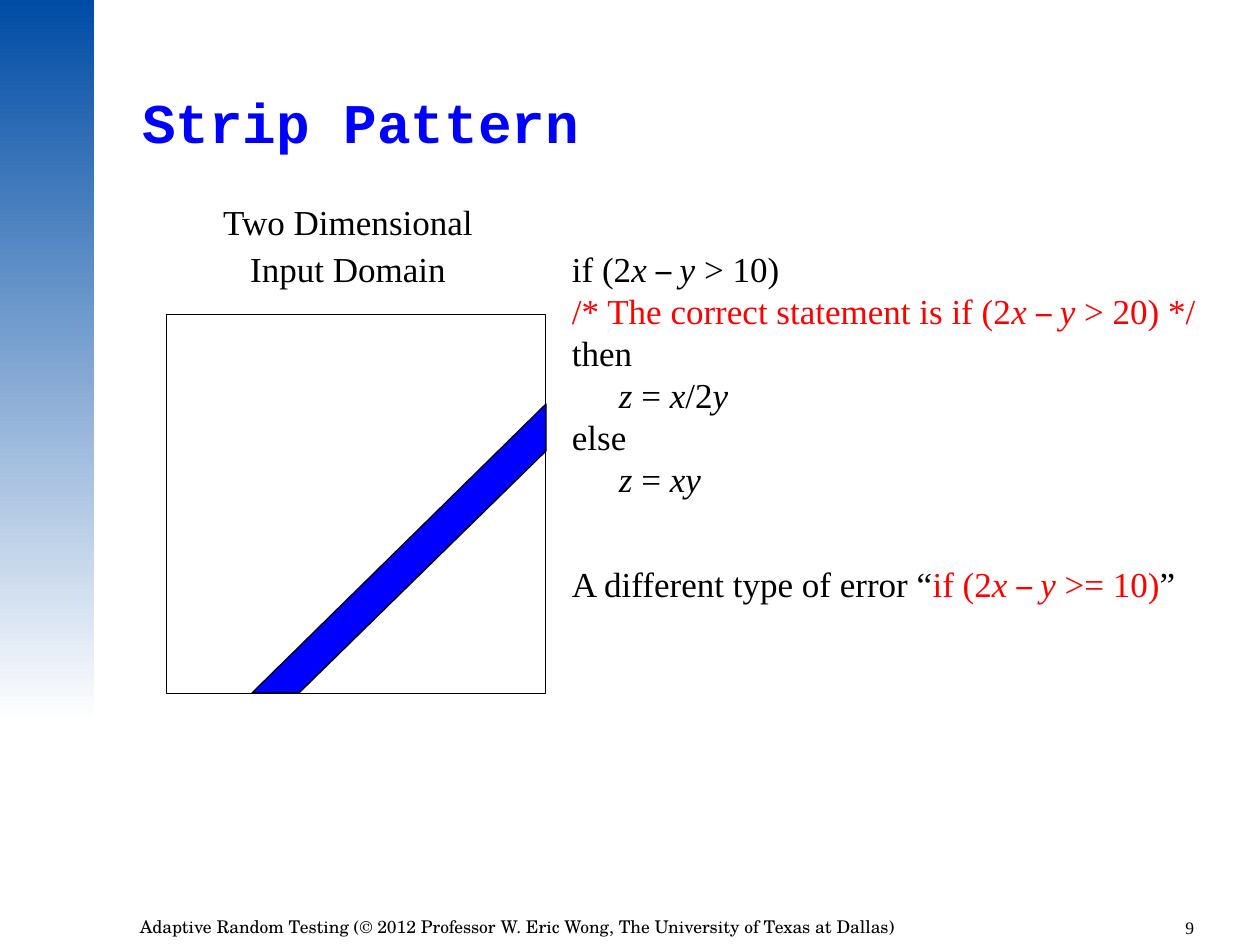
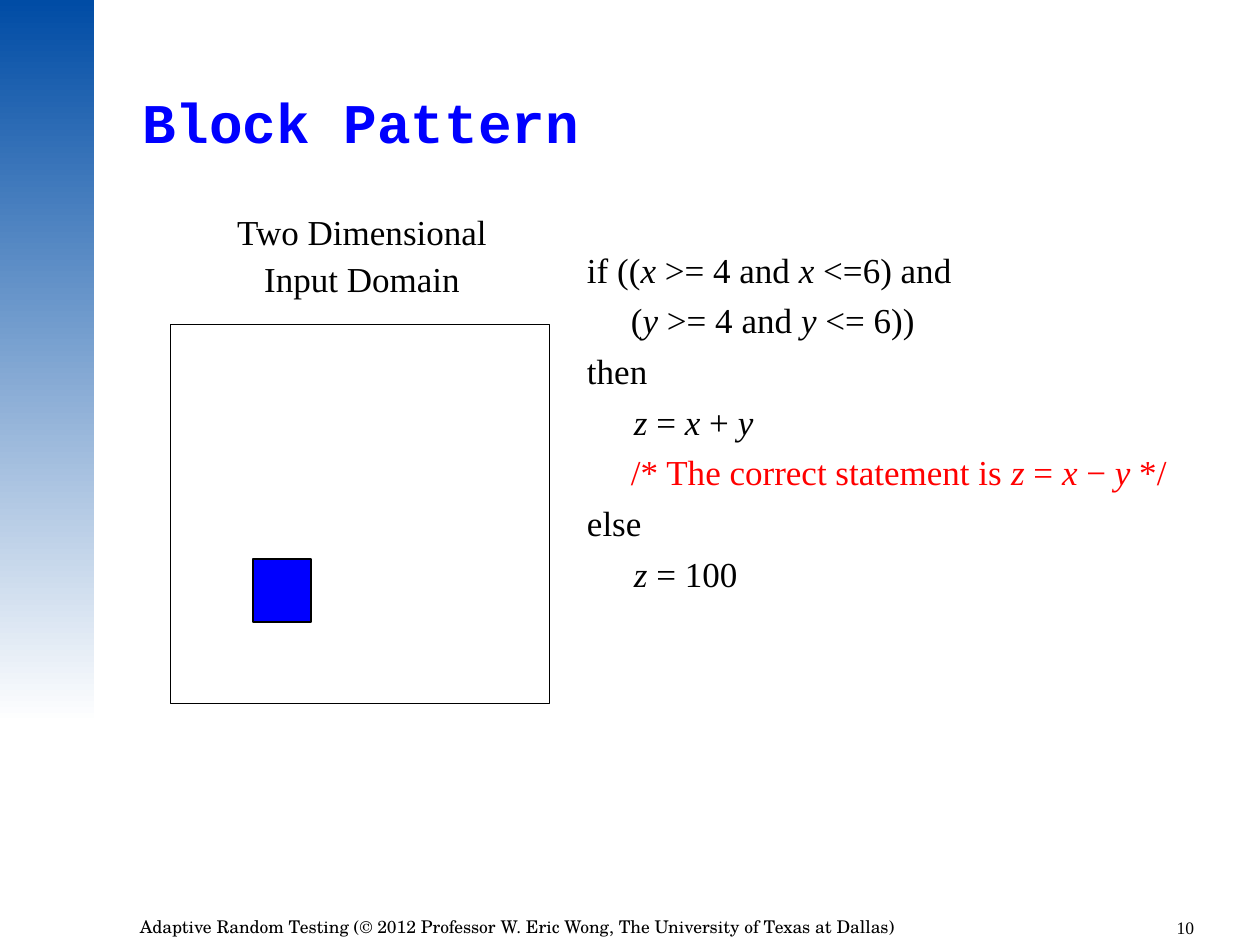
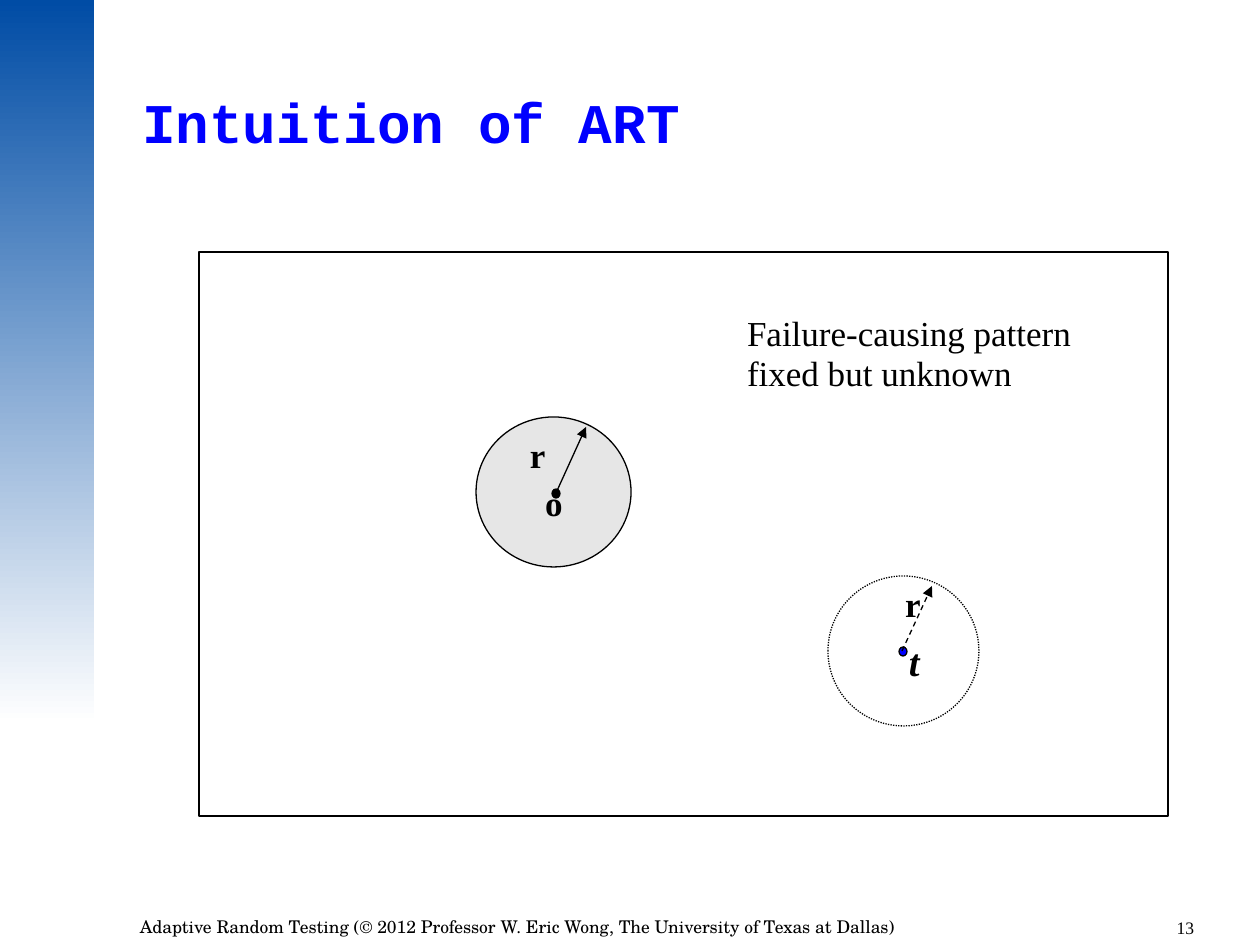
from dataclasses import dataclass
from lxml.etree import SubElement
from pptx import Presentation
from pptx.dml.color import RGBColor
from pptx.enum.dml import MSO_LINE
from pptx.enum.shapes import MSO_CONNECTOR, MSO_SHAPE
from pptx.enum.text import MSO_ANCHOR, PP_ALIGN
from pptx.oxml.ns import qn
from pptx.util import Emu, Pt


@dataclass(frozen=True)
class Theme:
    """Colours, fonts and type sizes shared by all slides."""
    blue: RGBColor = RGBColor(0x00, 0x00, 0xFF)
    red: RGBColor = RGBColor(0xFF, 0x00, 0x00)
    black: RGBColor = RGBColor(0x00, 0x00, 0x00)
    white: RGBColor = RGBColor(0xFF, 0xFF, 0xFF)
    grey: RGBColor = RGBColor(0xE6, 0xE6, 0xE6)
    band: RGBColor = RGBColor(0x00, 0x4C, 0xA5)
    title_font: str = "Courier New"
    body_font: str = "Times New Roman"
    dash_font: str = "Arial Narrow"
    footer_font: str = "TeX Gyre Schola"
    title_size: int = 32
    point_size: int = 22
    body_size: int = 20
    footer_size: int = 10
    body_leading: float = 24
    label_leading: float = 21.6
    note_leading: float = 22.3
    line: float = 0.75
    hairline: float = 0.37


T = Theme()
FOOTER = ("Adaptive Random Testing (© 2012 Professor W. Eric Wong, "
          "The University of Texas at Dallas)")
INSET = (13, 6)
DOMAIN_SIDE = 379


def px(n):
    """Turn px, 126 to the inch, into EMU."""
    return Emu(round(n * 914400 / 126))


def style(p, size=T.body_size, name=T.body_font, color=T.black, bold=None, italic=None):
    """Set the font that the runs of a paragraph share."""
    f = p.font
    f.size, f.name, f.bold, f.italic = Pt(size), name, bold, italic
    f.color.rgb = color


def add_box(s, x, y, w, h, inset=INSET, wrap=True):
    """Add an empty text box and return its text frame."""
    tf = s.shapes.add_textbox(*map(px, (x, y, w, h))).text_frame
    tf.word_wrap = wrap
    tf.margin_left = tf.margin_right = px(inset[0])
    tf.margin_top = tf.margin_bottom = px(inset[1])
    return tf


def add_text(s, x, y, w, h, text, inset=INSET, wrap=True, align=PP_ALIGN.LEFT,
             leading=None, before=0, **font):
    """Add a text box with one paragraph for each line of text."""
    tf = add_box(s, x, y, w, h, inset, wrap)
    for i, line in enumerate(text.split("\n")):
        p = tf.paragraphs[0] if i == 0 else tf.add_paragraph()
        p.text, p.alignment = line, align
        if leading:
            p.line_spacing = Pt(leading)
        if i:
            p.space_before = Pt(before)
        style(p, **font)


def add_marked_runs(p, text):
    """Add runs where | toggles red, _ italic and ~ the dash font."""
    for i, part in enumerate(text.split("|")):
        for j, piece in enumerate(part.split("_")):
            for k, bit in enumerate(piece.split("~")):
                if not bit:
                    continue
                r = p.add_run()
                r.text = bit
                if i % 2:
                    r.font.color.rgb = T.red
                if j % 2:
                    r.font.italic = True
                if k % 2:
                    r.font.name = T.dash_font


def add_code(s, x, y, w, h, lines):
    """Add code lines given as indent, space before and marked text."""
    tf = add_box(s, x, y, w, h)
    for i, (indent, before, text) in enumerate(lines):
        p = tf.paragraphs[0] if i == 0 else tf.add_paragraph()
        add_marked_runs(p, text)
        p.line_spacing, p.space_before = Pt(T.body_leading), Pt(before)
        p._p.get_or_add_pPr().set("marL", str(px(indent)))
        style(p)


def paint(sp, fill=None, width=T.line, dash=None):
    """Give a shape its fill and black outline, without a shadow."""
    sp.shadow.inherit = False
    if fill is None:
        sp.fill.background()
    else:
        sp.fill.solid()
        sp.fill.fore_color.rgb = fill
    sp.line.color.rgb, sp.line.width = T.black, Pt(width)
    if dash:
        sp.line.dash_style = dash


def add_shape(s, kind, x, y, w, h, **look):
    """Add a painted preset shape."""
    paint(s.shapes.add_shape(kind, *map(px, (x, y, w, h))), **look)


def add_polygon(s, points, **look):
    """Add a painted closed outline."""
    points = [tuple(map(px, point)) for point in points]
    builder = s.shapes.build_freeform(*points[0])
    builder.add_line_segments(points[1:], close=True)
    paint(builder.convert_to_shape(), **look)


def add_arrow(s, x1, y1, x2, y2, dash=None):
    """Add a straight arrow with a triangle head at its end."""
    c = s.shapes.add_connector(MSO_CONNECTOR.STRAIGHT, *map(px, (x1, y1, x2, y2)))
    c.line.color.rgb, c.line.width = T.black, Pt(T.line)
    if dash:
        c.line.dash_style = dash
    spPr = c.element.spPr
    SubElement(spPr.get_or_add_ln(), qn("a:tailEnd"), type="triangle")
    SubElement(spPr, qn("a:effectLst"))


def add_band(prs, s):
    """Draw the gradient side band and move it to the slide master."""
    sp = s.shapes.add_shape(MSO_SHAPE.RECTANGLE, 0, 0, px(94), px(724))
    sp.shadow.inherit = False
    sp.line.fill.background()
    sp.fill.gradient()
    sp.fill.gradient_angle = 270
    for stop, color in zip(sp.fill.gradient_stops, (T.band, T.white)):
        stop.color.rgb = color
    prs.slide_master.shapes.element.insert(2, sp.element)


def add_slide(prs, title, number):
    """Add a slide with its title, footer and number."""
    s = prs.slides.add_slide(prs.slide_layouts[5])
    sp = s.shapes.title
    sp.left, sp.top, sp.width, sp.height = map(px, (142, 88, 1068, 74))
    tf = sp.text_frame
    tf.margin_left = tf.margin_right = tf.margin_top = tf.margin_bottom = 0
    tf.vertical_anchor = MSO_ANCHOR.MIDDLE
    p = tf.paragraphs[0]
    p.text, p.alignment, p.line_spacing = title, PP_ALIGN.LEFT, 0.9
    style(p, T.title_size, T.title_font, T.blue, bold=True)
    add_text(s, 127, 910, 993, 35, FOOTER, size=T.footer_size, name=T.footer_font)
    add_text(s, 1134, 911, 73, 38, str(number), align=PP_ALIGN.RIGHT, size=T.footer_size)
    return s


def add_domain(s, label_x, label_y, x, y):
    """Add the labelled square of the input domain."""
    add_text(s, label_x, label_y, 420, 100, "Two Dimensional\nInput Domain",
             align=PP_ALIGN.CENTER, leading=T.label_leading, before=5)
    add_shape(s, MSO_SHAPE.RECTANGLE, x, y, DOMAIN_SIDE, DOMAIN_SIDE, width=T.hairline)


def add_letter(s, x, y, text, **font):
    """Add a bold letter that names a point or a radius."""
    add_text(s, x, y, 16, 39, text, inset=(0, 0), wrap=False,
             leading=T.note_leading, bold=True, **font)


def add_strip_slide(prs):
    """Build the slide on the strip pattern."""
    s = add_slide(prs, "Strip Pattern", 9)
    add_code(s, 559, 241, 680, 436, [
        (0, 0, "if (2_x _~– ~_y_ > 10)"),
        (0, 0, "|/* The correct statement is if (2_x _~– ~_y_ > 20) */|"),
        (0, 0, "then"),
        (47, 0, "_z_ = _x_/2_y_"),
        (0, 0, "else"),
        (47, 0, "_z_ = _xy_"),
        (0, 36, "A different type of error “|if (2_x _~– ~_y_ >= 10)|”"),
    ])
    add_domain(s, 138, 199, 166, 314)
    add_polygon(s, [(546, 451), (546, 404), (252, 693), (299, 693)], fill=T.blue)
    return s


def add_block_slide(prs):
    """Build the slide on the block pattern."""
    s = add_slide(prs, "Block Pattern", 10)
    add_code(s, 574, 242, 638, 422, [
        (0, 0, "if ((_x_ >= 4 and _x_ <=6) and"),
        (44, 5, "(_y_ >= 4 and _y_ <= 6))"),
        (0, 5, "then"),
        (47, 5, "_z_ = _x_ + _y_"),
        (44, 5, "|/* The correct statement is _z_ = _x_ − _y_ */|"),
        (0, 5, "else"),
        (47, 5, "_z_ = 100"),
    ])
    add_shape(s, MSO_SHAPE.RECTANGLE, 253, 559, 58, 63, fill=T.blue)
    add_domain(s, 152, 209, 170, 324)


def add_intuition_slide(prs):
    """Build the slide on the intuition of ART."""
    s = add_slide(prs, "Intuition of ART", 13)
    add_shape(s, MSO_SHAPE.RECTANGLE, 199, 252, 969, 564)
    add_shape(s, MSO_SHAPE.OVAL, 476, 417, 155, 150, fill=T.grey)
    add_shape(s, MSO_SHAPE.OVAL, 828, 576, 151, 150, dash=MSO_LINE.ROUND_DOT)
    for x, y, color in ((552, 489, T.black), (899, 647, T.blue)):
        add_shape(s, MSO_SHAPE.OVAL, x, y, 8, 9, fill=color)
    add_arrow(s, 556, 493, 586, 427)
    add_arrow(s, 902, 651, 932, 586, MSO_LINE.DASH)
    for x, y, letter in ((530, 437, "r"), (545, 485, "o"), (905, 586, "r")):
        add_letter(s, x, y, letter)
    add_letter(s, 909, 645, "t", size=T.point_size, italic=True)
    add_text(s, 747, 315, 383, 78, "Failure-causing pattern fixed but unknown",
             inset=(0, 0), leading=T.note_leading)


def main():
    """Build the three slides and save them."""
    prs = Presentation()
    prs.slide_width, prs.slide_height = px(1260), px(945)
    add_band(prs, add_strip_slide(prs))
    add_block_slide(prs)
    add_intuition_slide(prs)
    prs.save("out.pptx")


if __name__ == "__main__":
    main()
